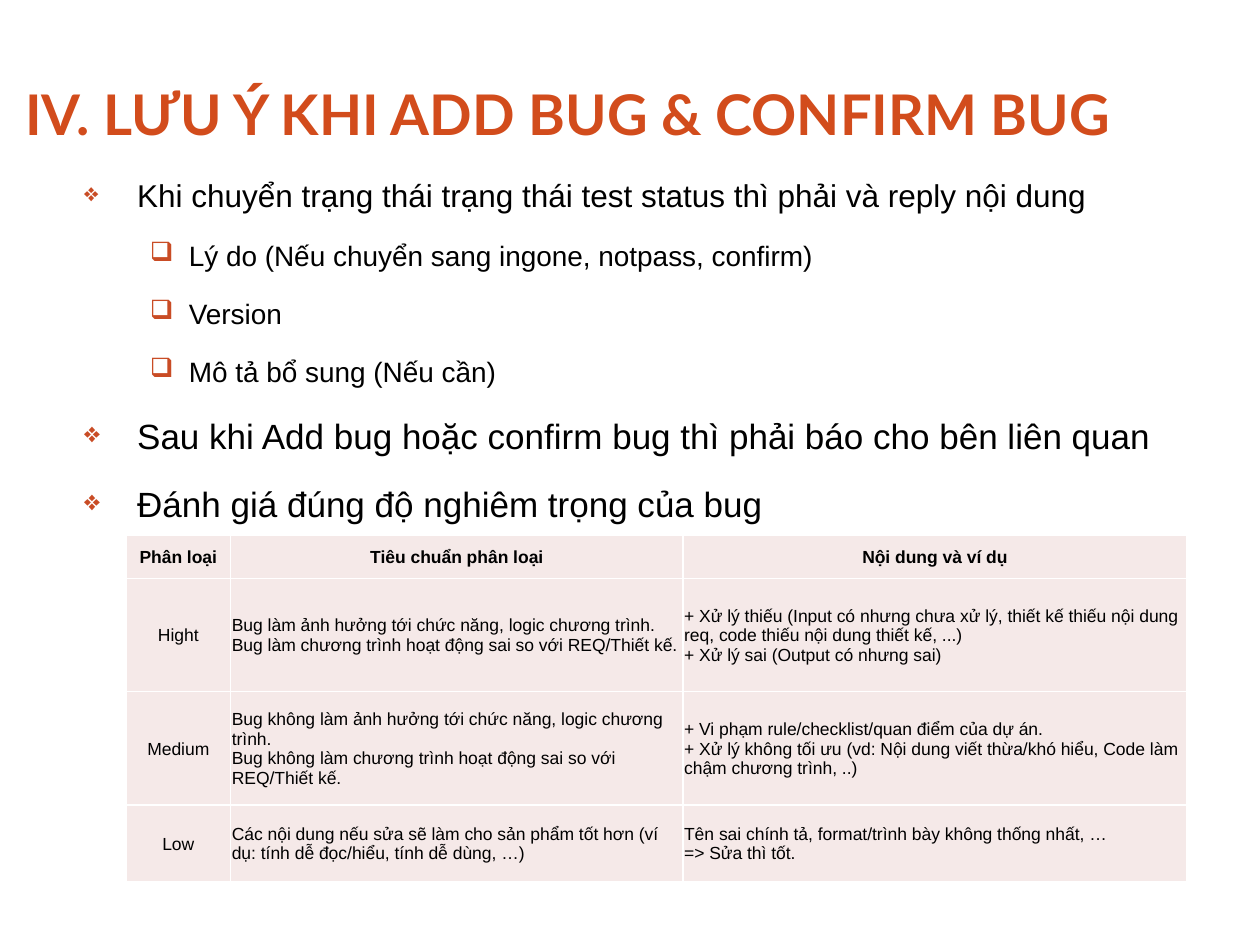
from copy import deepcopy
from dataclasses import dataclass

from lxml.etree import SubElement
from pptx import Presentation
from pptx.dml.color import RGBColor as RGB
from pptx.enum.text import MSO_ANCHOR as Anchor, PP_ALIGN as Align
from pptx.oxml.ns import qn
from pptx.util import Inches, Pt


@dataclass(frozen=True)
class Theme:
    title: str = "D24C1C"
    bullet: str = "C94C25"
    text: str = "000000"
    cell: str = "F5E9E8"
    border: str = "FFFFFF"
    title_font: str = "Lato"
    body_font: str = "Arial"
    title_size: int = 32
    table_size: int = 10
    border_width: int = 1


@dataclass(frozen=True)
class Level:
    char: str
    percent: int
    margin: float
    indent: float


@dataclass(frozen=True)
class Item:
    text: str
    size: int
    level: int = 0


THEME = Theme()
LEVELS = (Level("❖", 80, 0.49, -0.42), Level("❑", 95, 0.9, -0.31))
ITEMS = (
    Item("Khi chuyển trạng thái trạng thái test status thì phải và reply nội dung", 18),
    Item("Lý do (Nếu chuyển sang ingone, notpass, confirm)", 16, 1),
    Item("Version", 16, 1),
    Item("Mô tả bổ sung (Nếu cần)", 16, 1),
    Item("Sau khi Add bug hoặc confirm bug thì phải báo cho bên liên quan", 20),
    Item("Đánh giá đúng độ nghiêm trọng của bug", 20),
)
COLUMNS = (0.83, 3.59, 4)
ROW_HEIGHTS = (0.34, 0.9, 0.9, 0.61)
ROWS = (
    ("Phân loại", "Tiêu chuẩn phân loại", "Nội dung và ví dụ"),
    ("Hight",
     "Bug làm ảnh hưởng tới chức năng, logic chương trình.\n"
     "Bug làm chương trình hoạt động sai so với REQ/Thiết kế.",
     "+ Xử lý thiếu (Input có nhưng chưa xử lý, thiết kế thiếu nội dung req, "
     "code thiếu nội dung thiết kế, ...)\n+ Xử lý sai (Output có nhưng sai)"),
    ("Medium",
     "Bug không làm ảnh hưởng tới chức năng, logic chương trình.\n"
     "Bug không làm chương trình hoạt động sai so với REQ/Thiết kế.",
     "+ Vi phạm rule/checklist/quan điểm của dự án.\n"
     "+ Xử lý không tối ưu (vd: Nội dung viết thừa/khó hiểu, "
     "Code làm chậm chương trình, ..)"),
    ("Low",
     "Các nội dung nếu sửa sẽ làm cho sản phẩm tốt hơn "
     "(ví dụ: tính dễ đọc/hiểu, tính dễ dùng, …)",
     "Tên sai chính tả, format/trình bày không thống nhất, …\n=> Sửa thì tốt."),
)


def set_attrs(obj, values: dict) -> None:
    for name, value in values.items():
        setattr(obj, name, value)


def write(p, text: str, font: str, size: int, color: str, bold: bool = False) -> None:
    """Fill a paragraph, giving its line breaks the same format as its runs."""
    p.text = text
    for r in p.runs:
        set_attrs(r.font, {"name": font, "size": Pt(size), "bold": bold})
        r.font.color.rgb = RGB.from_string(color)
    for br in p._p.findall(qn("a:br")):
        br.insert(0, deepcopy(p.runs[0]._r.rPr))


def add_text_frame(s, left: float, top: float, width: float, height: float, **values):
    tf = s.shapes.add_textbox(*map(Inches, (left, top, width, height))).text_frame
    set_attrs(tf, {"word_wrap": True, **values})
    return tf


def add_bullet(p, level: Level) -> None:
    pPr = p._p.get_or_add_pPr()
    pPr.set("marL", str(Inches(level.margin)))
    pPr.set("indent", str(Inches(level.indent)))
    SubElement(SubElement(pPr, qn("a:buClr")), qn("a:srgbClr"), val=THEME.bullet)
    SubElement(pPr, qn("a:buSzPct"), val=str(level.percent * 1000))
    SubElement(pPr, qn("a:buChar"), char=level.char)


def add_title(s) -> None:
    tf = add_text_frame(s, 0, 0.46, 9.75, 0.87, margin_left=Inches(0.2),
                        margin_right=0, vertical_anchor=Anchor.MIDDLE)
    write(tf.paragraphs[0], "IV. LƯU Ý KHI ADD BUG & CONFIRM BUG",
          THEME.title_font, THEME.title_size, THEME.title, bold=True)


def add_list(s) -> None:
    tf = add_text_frame(s, 0.5, 1.33, 9.08, 2.9, margin_top=Inches(0.07))
    for i, item in enumerate(ITEMS):
        p = tf.add_paragraph() if i else tf.paragraphs[0]
        add_bullet(p, LEVELS[item.level])
        set_attrs(p, {"level": item.level, "space_after": Pt(10),
                      "space_before": Pt(item.size / 4 if i else 0)})
        write(p, item.text, THEME.body_font, item.size, THEME.text)


def add_borders(cell) -> None:
    """Draw all four cell borders; they must precede the fill in the XML."""
    tcPr = cell._tc.get_or_add_tcPr()
    for side in ("lnL", "lnR", "lnT", "lnB"):
        ln = SubElement(tcPr, qn(f"a:{side}"), w=str(Pt(THEME.border_width)))
        SubElement(SubElement(ln, qn("a:solidFill")), qn("a:srgbClr"), val=THEME.border)


def add_severity_table(s) -> None:
    frame = s.shapes.add_table(len(ROWS), len(COLUMNS), Inches(1), Inches(4.25),
                               Inches(sum(COLUMNS)), Inches(sum(ROW_HEIGHTS)))
    table = frame.table
    table.horz_banding = False
    for col, width in zip(table.columns, COLUMNS):
        col.width = Inches(width)
    for row, height in zip(table.rows, ROW_HEIGHTS):
        row.height = Inches(height)
    inset = Inches(0.01)
    for i, texts in enumerate(ROWS):
        for j, text in enumerate(texts):
            cell = table.cell(i, j)
            set_attrs(cell, {"margin_left": inset, "margin_right": inset,
                             "margin_top": inset, "margin_bottom": 0,
                             "vertical_anchor": Anchor.MIDDLE})
            add_borders(cell)
            cell.fill.solid()
            cell.fill.fore_color.rgb = RGB.from_string(THEME.cell)
            p = cell.text_frame.paragraphs[0]
            p.alignment = Align.CENTER if i == 0 or j == 0 else Align.LEFT
            write(p, text, THEME.body_font, THEME.table_size, THEME.text, bold=i == 0)


def main() -> None:
    prs = Presentation()
    set_attrs(prs, {"slide_width": Inches(10), "slide_height": Inches(7.5)})
    s = prs.slides.add_slide(prs.slide_layouts[6])
    add_title(s)
    add_list(s)
    add_severity_table(s)
    prs.save("out.pptx")


if __name__ == "__main__":
    main()
